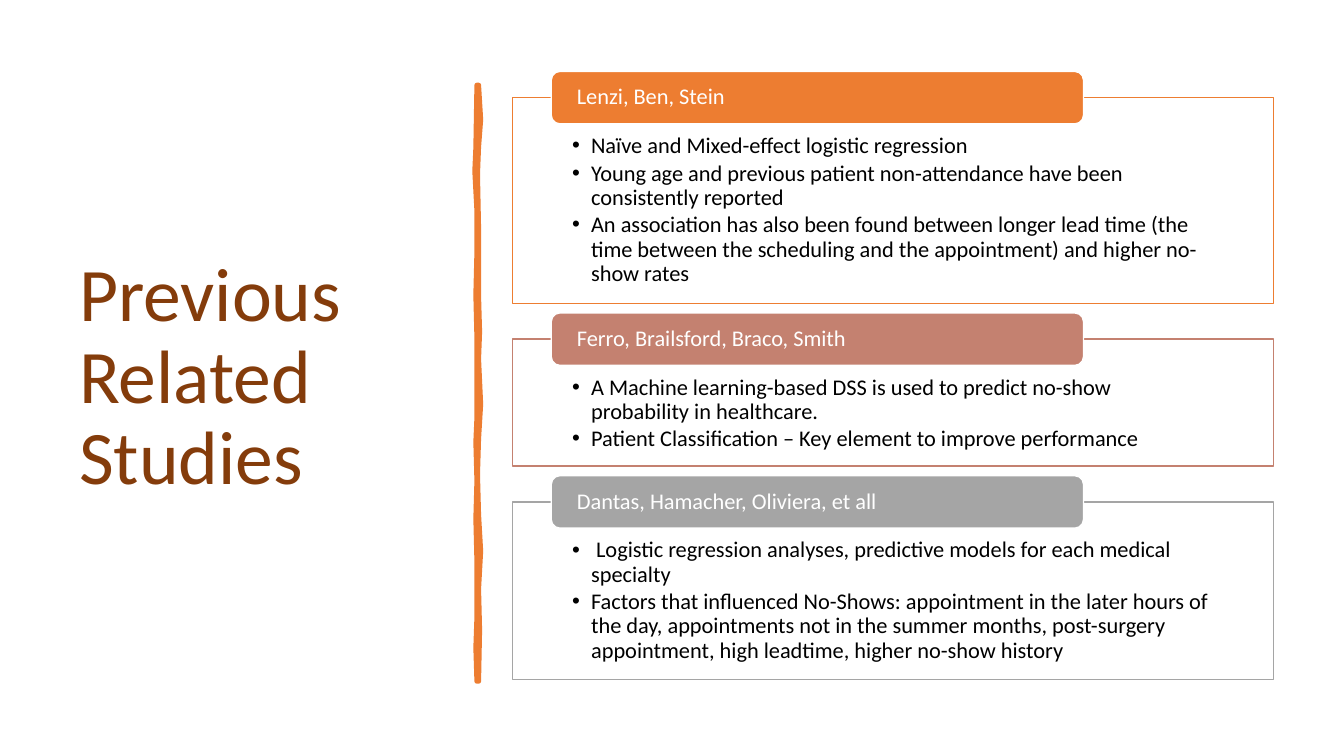
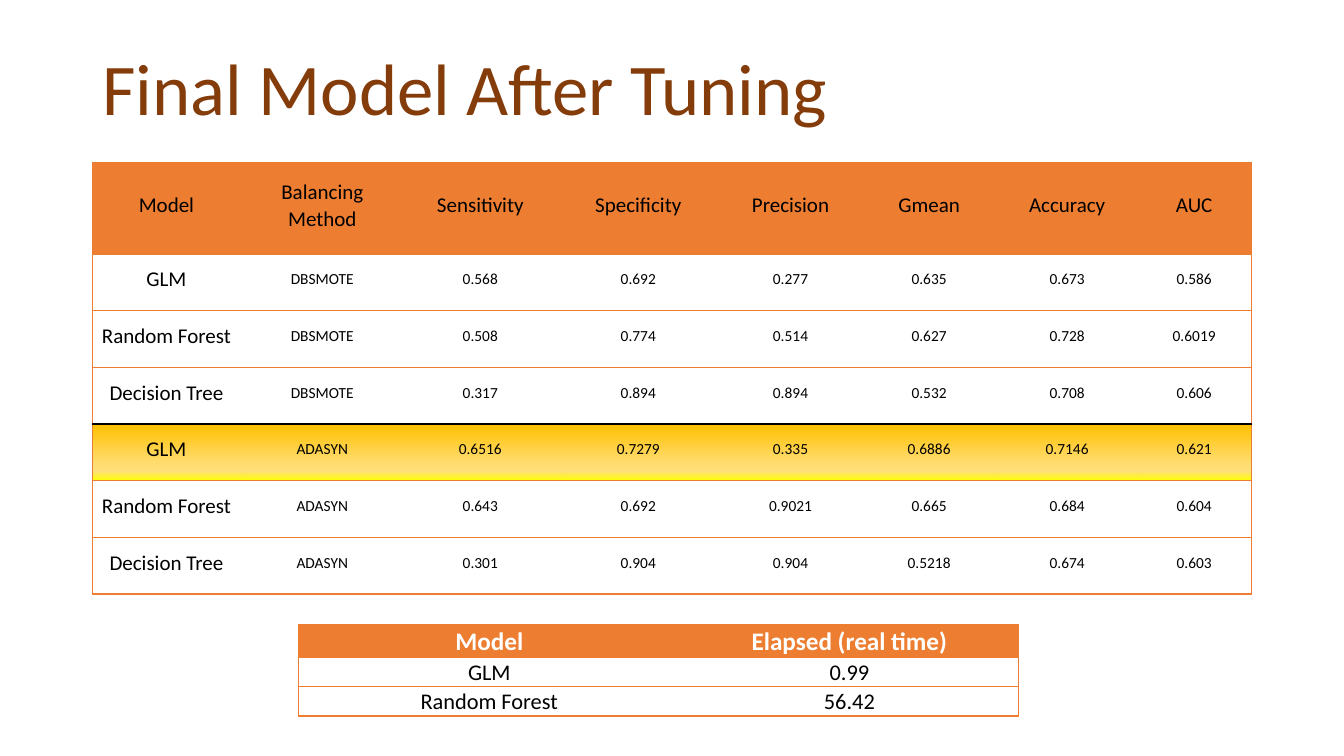
from collections import namedtuple
from dataclasses import dataclass

from lxml import etree
from pptx import Presentation
from pptx.dml.color import RGBColor
from pptx.enum.shapes import MSO_SHAPE
from pptx.enum.text import MSO_ANCHOR, PP_ALIGN
from pptx.oxml.ns import qn
from pptx.util import Emu, Pt

RECTANGLE = MSO_SHAPE.RECTANGLE
ROUNDED = MSO_SHAPE.ROUNDED_RECTANGLE
TOP, MIDDLE = MSO_ANCHOR.TOP, MSO_ANCHOR.MIDDLE
LEFT, CENTER = PP_ALIGN.LEFT, PP_ALIGN.CENTER

EMU_PER_PX = 9525
Box = namedtuple("Box", "left top width height")


@dataclass(frozen=True)
class Theme:
    font: str = "Calibri"
    title: str = "843C0B"
    orange: str = "ED7D31"
    rose: str = "C48170"
    grey: str = "A5A5A5"
    black: str = "000000"
    white: str = "FFFFFF"
    highlight: tuple = ((0, "FFC000"), (66, "FFDB6B"), (83, "FFDF7A"), (100, "FFFF00"))
    side_title_size: int = 54
    top_title_size: int = 52
    body_size: int = 16
    label_size: int = 15
    value_size: int = 11
    timing_head_size: int = 18
    rule_width: float = 1
    brush_width: float = 3.25


THEME = Theme()

STUDIES = [
    ("Lenzi, Ben, Stein", THEME.orange, 196, [
        "Naïve and Mixed-effect logistic regression",
        "Young age and previous patient non-attendance have been consistently reported",
        "An association has also been found between longer lead time (the time between "
        "the scheduling and the appointment) and higher no-show rates",
    ]),
    ("Ferro, Brailsford, Braco, Smith", THEME.rose, 121, [
        "A Machine learning-based DSS is used to predict no-show probability in healthcare.",
        "Patient Classification – Key element to improve performance",
    ]),
    ("Dantas, Hamacher, Oliviera, et all", THEME.grey, 169, [
        " Logistic regression analyses, predictive models for each medical specialty",
        "Factors that influenced No-Shows: appointment in the later hours of the day, "
        "appointments not in the summer months, post-surgery appointment, high leadtime, "
        "higher no-show history",
    ]),
]

BRUSH_RIGHT = [(4, 0), (6, 33), (4, 59), (3, 85), (4, 136), (4, 201), (5, 235), (4, 261),
               (6, 304), (4, 337), (3, 371), (4, 409), (6, 444), (4, 480), (5, 519), (4, 568)]
BRUSH_LEFT = [(2, 568), (1, 536), (2, 507), (2, 454), (1, 413), (2, 377), (1, 340),
              (2, 317), (2, 241), (1, 200), (2, 159), (2, 120), (0, 82), (1, 60), (2, 0)]

RESULTS = [
    ["Model", "Balancing Method", "Sensitivity", "Specificity", "Precision", "Gmean",
     "Accuracy", "AUC"],
    ["GLM", "DBSMOTE", "0.568", "0.692", "0.277", "0.635", "0.673", "0.586"],
    ["Random Forest", "DBSMOTE", "0.508", "0.774", "0.514", "0.627", "0.728", "0.6019"],
    ["Decision Tree", "DBSMOTE", "0.317", "0.894", "0.894", "0.532", "0.708", "0.606"],
    ["GLM", "ADASYN", "0.6516", "0.7279", "0.335", "0.6886", "0.7146", "0.621"],
    ["Random Forest", "ADASYN", "0.643", "0.692", "0.9021", "0.665", "0.684", "0.604"],
    ["Decision Tree", "ADASYN", "0.301", "0.904", "0.904", "0.5218", "0.674", "0.603"],
]
BEST_ROW = 4

TIMINGS = [["Model", "Elapsed (real time)"], ["GLM", "0.99"], ["Random Forest", "56.42"]]


def px(length):
    return Emu(length * EMU_PER_PX)


def place(box):
    return [px(length) for length in box]


def assign(target, values):
    for attribute, value in values.items():
        setattr(target, attribute, value)


def margins(left, top, right, bottom):
    return {"margin_left": px(left), "margin_top": px(top),
            "margin_right": px(right), "margin_bottom": px(bottom)}


def add_bullet(paragraph, indent):
    properties = paragraph._p.get_or_add_pPr()
    properties.set("marL", str(px(indent)))
    properties.set("indent", str(-px(indent)))
    etree.SubElement(properties, qn("a:buFont")).set("typeface", "Arial")
    etree.SubElement(properties, qn("a:buChar")).set("char", "•")


def write(frame, lines, size, color, bold=False, align=LEFT, spacing=0.9, after=0, bullet=0):
    for index, line in enumerate(lines):
        paragraph = frame.paragraphs[0] if index == 0 else frame.add_paragraph()
        if bullet:
            add_bullet(paragraph, bullet)
        assign(paragraph, {"text": line, "alignment": align, "line_spacing": spacing,
                           "space_before": Pt(0), "space_after": Pt(after)})
        font = paragraph.runs[0].font
        assign(font, {"name": THEME.font, "size": Pt(size), "bold": bold})
        font.color.rgb = RGBColor.from_string(color)


def paint(shape, fill, line, width):
    shape.shadow.inherit = False
    shape.fill.solid()
    shape.fill.fore_color.rgb = RGBColor.from_string(fill)
    shape.line.color.rgb = RGBColor.from_string(line)
    shape.line.width = Pt(width)


def add_title(slide, box, text, size):
    frame = slide.shapes.add_textbox(*place(box)).text_frame
    assign(frame, {"word_wrap": True, "vertical_anchor": MIDDLE})
    write(frame, [text], size, THEME.title)


def add_brush_stroke(slide, box):
    outline = BRUSH_RIGHT + BRUSH_LEFT
    builder = slide.shapes.build_freeform(*outline[0], scale=EMU_PER_PX)
    builder.add_line_segments(outline[1:], close=True)
    stroke = builder.convert_to_shape(px(box.left), px(box.top))
    paint(stroke, THEME.orange, THEME.orange, THEME.brush_width)
    etree.SubElement(stroke.line._get_or_add_ln(), qn("a:round"))


def add_panel(slide, kind, box, fill, line, insets, anchor):
    panel = slide.shapes.add_shape(kind, *place(box))
    paint(panel, fill, line, THEME.rule_width)
    frame = panel.text_frame
    assign(frame, {"word_wrap": True, "vertical_anchor": anchor, **margins(*insets)})
    return frame


def add_study(slide, box, authors, color, findings):
    body = add_panel(slide, RECTANGLE, box, THEME.white, color, (57, 35, 57, 12), TOP)
    write(body, findings, THEME.body_size, THEME.black, after=2.4, bullet=18)
    tab = Box(box.left + 37, box.top - 25, 507, 50)
    heading = add_panel(slide, ROUNDED, tab, color, THEME.white, (22, 0, 22, 0), MIDDLE)
    write(heading, [authors], THEME.body_size, THEME.white)


def add_study_list(slide, box, gap):
    top = box.top
    for authors, color, height, findings in STUDIES:
        add_study(slide, Box(box.left, top, box.width, height), authors, color, findings)
        top += height + gap


def add_solid(parent, color):
    solid = etree.SubElement(parent, qn("a:solidFill"))
    etree.SubElement(solid, qn("a:srgbClr")).set("val", color)


def set_borders(cell, borders):
    properties = cell._tc.get_or_add_tcPr()
    for side in "LRTB":
        line = etree.SubElement(properties, qn(f"a:ln{side}"))
        color = borders.get(side)
        if color:
            line.set("w", str(Pt(THEME.rule_width)))
            add_solid(line, color)
        else:
            etree.SubElement(line, qn("a:noFill"))


def fill_highlight(cell):
    gradient = etree.SubElement(cell._tc.get_or_add_tcPr(), qn("a:gradFill"))
    stops = etree.SubElement(gradient, qn("a:gsLst"))
    for percent, color in THEME.highlight:
        stop = etree.SubElement(stops, qn("a:gs"))
        stop.set("pos", str(percent * 1000))
        etree.SubElement(stop, qn("a:srgbClr")).set("val", color)
    etree.SubElement(gradient, qn("a:lin")).set("ang", "5400000")


def add_grid(slide, box, rows, widths, heights, insets, text_style, best_row=None):
    table = slide.shapes.add_table(len(rows), len(widths), *place(box)).table
    assign(table, {"first_row": False, "horz_banding": False})
    for column, width in zip(table.columns, widths):
        column.width = px(width)
    for row, height in zip(table.rows, heights):
        row.height = px(height)
    for r, values in enumerate(rows):
        for c, value in enumerate(values):
            cell = table.cell(r, c)
            borders = {"T": THEME.orange, "B": THEME.orange}
            if c == 0:
                borders["L"] = THEME.orange
            if c == len(values) - 1:
                borders["R"] = THEME.orange
            if best_row is not None and r in (best_row - 1, best_row):
                borders["B" if r < best_row else "T"] = THEME.black
            set_borders(cell, borders)
            if r == best_row:
                fill_highlight(cell)
            else:
                cell.fill.solid()
                cell.fill.fore_color.rgb = RGBColor.from_string(
                    THEME.white if r else THEME.orange)
            assign(cell, {"vertical_anchor": MIDDLE, **margins(*insets)})
            write(cell.text_frame, [value], align=CENTER, spacing=1.07, **text_style(r, c))


def result_style(row, column):
    is_label = row == 0 or column == 0
    return {"size": THEME.label_size if is_label else THEME.value_size, "color": THEME.black}


def timing_style(row, column):
    if row == 0:
        return {"size": THEME.timing_head_size, "color": THEME.white, "bold": True}
    return {"size": THEME.body_size, "color": THEME.black}


def build_studies(slide):
    add_title(slide, Box(66, 67, 359, 587), "Previous Related Studies", THEME.side_title_size)
    add_brush_stroke(slide, Box(452, 81, 6, 568))
    add_study_list(slide, Box(488, 93, 725, 554), gap=34)


def build_results(slide):
    add_grid(slide, Box(284, 595, 686, 87), TIMINGS, [364, 322], [31, 28, 28],
             (5, 0, 5, 0), timing_style)
    add_title(slide, Box(88, 9, 1104, 158), "Final Model After Tuning", THEME.top_title_size)
    add_grid(slide, Box(88, 155, 1104, 411), RESULTS,
             [147, 150, 151, 150, 140, 124, 139, 103], [87] + [54] * 6,
             (0, 3, 6, 10), result_style, BEST_ROW)


def main():
    deck = Presentation()
    assign(deck, {"slide_width": px(1280), "slide_height": px(720)})
    blank = deck.slide_layouts[6]
    for build in (build_studies, build_results):
        build(deck.slides.add_slide(blank))
    deck.save("out.pptx")


if __name__ == "__main__":
    main()
